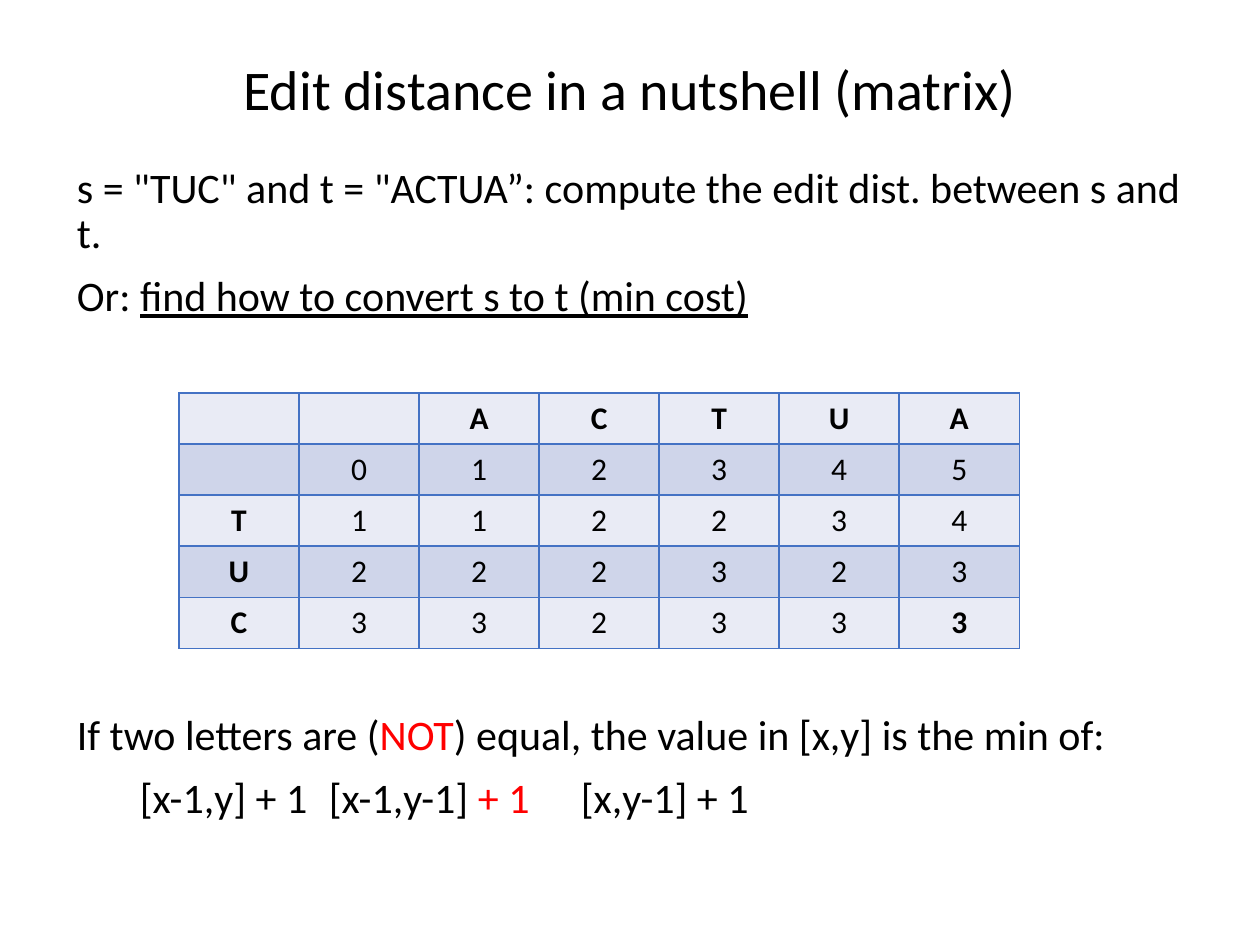
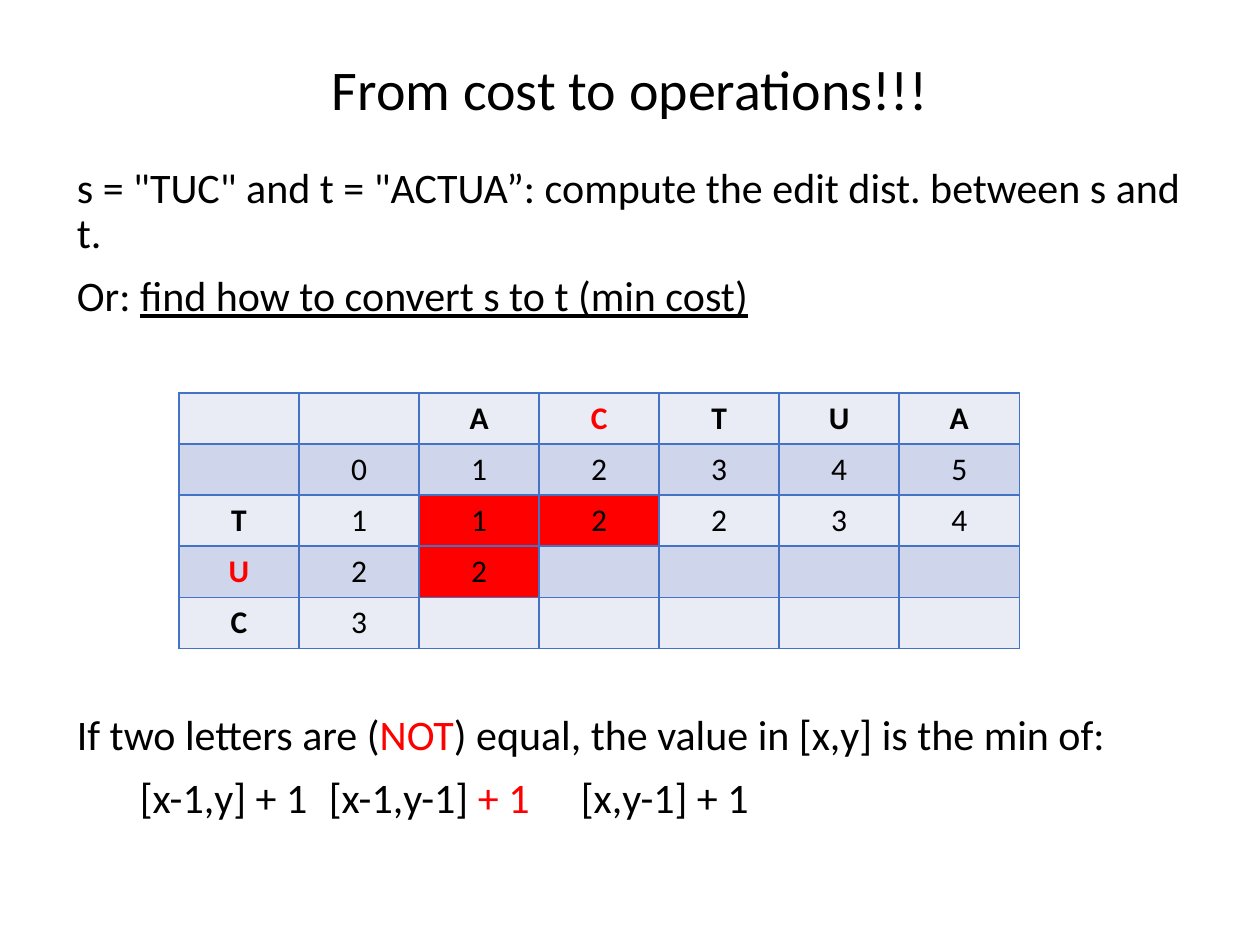
from lxml import etree
from pptx import Presentation
from pptx.dml.color import RGBColor
from pptx.enum.text import MSO_ANCHOR, MSO_AUTO_SIZE, PP_ALIGN
from pptx.oxml.ns import qn
from pptx.util import Pt

CENTER = PP_ALIGN.CENTER
LEFT = PP_ALIGN.LEFT
MIDDLE = MSO_ANCHOR.MIDDLE
TOP = MSO_ANCHOR.TOP
NO_AUTOFIT = MSO_AUTO_SIZE.NONE

BLACK = RGBColor(0x00, 0x00, 0x00)
RED = RGBColor(0xFF, 0x00, 0x00)
BORDER_BLUE = RGBColor(0x44, 0x72, 0xC4)
BANDS = (RGBColor(0xE9, 0xEB, 0xF5), RGBColor(0xCF, 0xD5, 0xEA))

FONT = "Calibri"
LINE_SPACING = 0.9
PARAGRAPH_GAP = 10
TABLE_GAP = 225  # room for the matrix between the body paragraphs
FORMULA_TABS = (108.5, 258, 426.5)
COLUMN_WIDTH = 68.6
ROW_HEIGHT = 29.2

# Each paragraph: space before, then spans of (text, colour, underlined).
BODY = [
    (PARAGRAPH_GAP, [('s = "TUC" and t = "ACTUA”: compute the edit dist. '
                      'between s and t.', BLACK, False)]),
    (PARAGRAPH_GAP, [("Or: ", BLACK, False),
                     ("find how to convert s to t (min cost)", BLACK, True)]),
    (TABLE_GAP, [("If two letters are (", BLACK, False),
                 ("NOT", RED, False),
                 (") equal, the value in [x,y] is the min of:", BLACK, False)]),
    (PARAGRAPH_GAP, [("\t[x-1,y] + 1\t[x-1,y-1] ", BLACK, False),
                     ("+ 1", RED, False),
                     ("\t[x,y-1] + 1", BLACK, False)]),
]

COLUMN_LETTERS = ["", "", "A", "C", "T", "U", "A"]
ROW_LETTERS = ["", "T", "U", "C"]
FULL_COSTS = ["012345", "112234", "222323", "332333"]
PARTIAL_COSTS = ["012345", "112234", "22", "3"]


def style_span(span, size, color, bold=False):
    """Set the shared font and the given look on a run."""
    font = span.font
    font.name = FONT
    font.size = Pt(size)
    font.bold = bold
    font.color.rgb = color


def place(box, left, top, width, height, anchor):
    """Move a placeholder and fix its text behaviour."""
    box.left, box.top = Pt(left), Pt(top)
    box.width, box.height = Pt(width), Pt(height)
    frame = box.text_frame
    frame.word_wrap = True
    frame.auto_size = NO_AUTOFIT
    frame.vertical_anchor = anchor


def add_title(page, text):
    """Fill the title placeholder."""
    box = page.shapes.title
    place(box, 49.5, 29, 621, 47.5, MIDDLE)
    box.text_frame.text = text
    para = box.text_frame.paragraphs[0]
    para.alignment = CENTER
    para.line_spacing = LINE_SPACING
    style_span(para.runs[0], 32, BLACK)


def clear_bullet(para):
    """Remove the bullet and indent, and set the formula tab stops."""
    properties = para._p.get_or_add_pPr()
    properties.set("marL", "0")
    properties.set("indent", "0")
    etree.SubElement(properties, qn("a:buNone"))
    tabs = etree.SubElement(properties, qn("a:tabLst"))
    for position in FORMULA_TABS:
        etree.SubElement(tabs, qn("a:tab"), pos=str(Pt(position)), algn="l")


def add_body(page):
    """Fill the body placeholder with the text around the matrix."""
    box = page.placeholders[1]
    place(box, 36.75, 92, 647, 410.5, TOP)
    frame = box.text_frame
    for index, (gap, spans) in enumerate(BODY):
        para = frame.add_paragraph() if index else frame.paragraphs[0]
        para.alignment = LEFT
        para.line_spacing = LINE_SPACING
        para.space_before = Pt(gap)
        clear_bullet(para)
        for text, color, underlined in spans:
            span = para.add_run()
            span.text = text
            style_span(span, 24, color)
            span.font.underline = underlined


def add_borders(cell):
    """Draw the four cell borders, which must precede the fill."""
    properties = cell._tc.get_or_add_tcPr()
    for index, side in enumerate(("lnL", "lnR", "lnT", "lnB")):
        line = etree.Element(qn("a:" + side), w=str(Pt(1)))
        fill = etree.SubElement(line, qn("a:solidFill"))
        etree.SubElement(fill, qn("a:srgbClr"), val=str(BORDER_BLUE))
        properties.insert(index, line)


def add_matrix(page, costs, red_letters=(), red_cells=(), bold_cells=()):
    """Add the cost matrix; marked cells are (row, column) pairs."""
    rows = [COLUMN_LETTERS]
    for letter, values in zip(ROW_LETTERS, costs):
        rows.append([letter, *values.ljust(len(COLUMN_LETTERS) - 1)])
    columns = len(COLUMN_LETTERS)
    table = page.shapes.add_table(
        len(rows), columns, Pt(102.25), Pt(224.5),
        Pt(COLUMN_WIDTH * columns), Pt(ROW_HEIGHT * len(rows))).table
    table.first_row = False
    table.horz_banding = False
    for column in table.columns:
        column.width = Pt(COLUMN_WIDTH)
    for row_index, values in enumerate(rows):
        table.rows[row_index].height = Pt(ROW_HEIGHT)
        for column_index, value in enumerate(values):
            spot = (row_index, column_index)
            cell = table.cell(*spot)
            cell.fill.solid()
            cell.fill.fore_color.rgb = (
                RED if spot in red_cells else BANDS[row_index % 2])
            add_borders(cell)
            if value.strip():
                cell.text_frame.text = value
                para = cell.text_frame.paragraphs[0]
                para.alignment = CENTER
                style_span(para.runs[0], 18,
                           RED if spot in red_letters else BLACK,
                           value.isalpha() or spot in bold_cells)


def add_page(deck, title):
    """Add a slide with its title and the shared body text."""
    page = deck.slides.add_slide(deck.slide_layouts[1])
    add_title(page, title)
    add_body(page)
    return page


def main():
    """Build and save the deck."""
    deck = Presentation()
    deck.slide_width, deck.slide_height = Pt(720), Pt(540)

    page = add_page(deck, "Edit distance in a nutshell (matrix)")
    add_matrix(page, FULL_COSTS, bold_cells=[(4, 6)])

    page = add_page(deck, "From cost to operations!!!")
    add_matrix(page, PARTIAL_COSTS, red_letters=[(0, 3), (3, 0)],
               red_cells=[(2, 2), (2, 3), (3, 2)])

    deck.save("out.pptx")


main()
